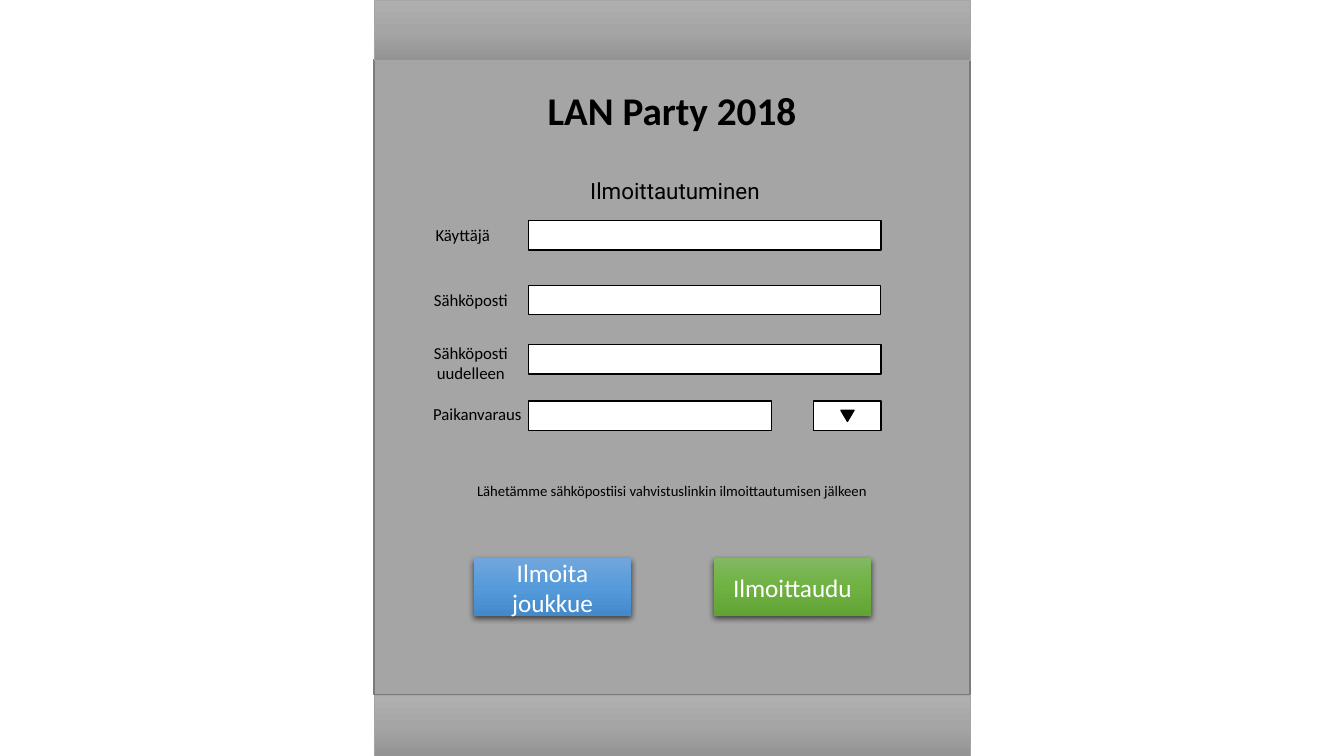
from lxml import etree
from pptx import Presentation
from pptx.dml.color import RGBColor
from pptx.enum.shapes import MSO_SHAPE
from pptx.enum.text import MSO_ANCHOR, MSO_AUTO_SIZE, PP_ALIGN
from pptx.oxml.ns import qn
from pptx.util import Emu, Pt

EMU_PER_PX = 9144  # 100 px to the inch

RECTANGLE = MSO_SHAPE.RECTANGLE
TRIANGLE = MSO_SHAPE.ISOSCELES_TRIANGLE
CENTER = PP_ALIGN.CENTER
TOP, MIDDLE = MSO_ANCHOR.TOP, MSO_ANCHOR.MIDDLE
GROW = MSO_AUTO_SIZE.SHAPE_TO_FIT_TEXT

BLACK = RGBColor(0x00, 0x00, 0x00)
WHITE = RGBColor(0xFF, 0xFF, 0xFF)
GRAY = RGBColor(0xA5, 0xA5, 0xA5)
DARK_GRAY = RGBColor(0x7A, 0x7A, 0x7A)
GRAY_SHADES = (RGBColor(0xAF, 0xAF, 0xAF), GRAY, RGBColor(0x93, 0x93, 0x93))
BLUE_SHADES = (RGBColor(0x71, 0xA6, 0xDB), RGBColor(0x55, 0x9B, 0xDB),
               RGBColor(0x44, 0x8A, 0xCA))
GREEN_SHADES = (RGBColor(0x81, 0xB8, 0x61), RGBColor(0x6F, 0xB2, 0x42),
                RGBColor(0x62, 0xA3, 0x36))

PANEL_LEFT, PANEL_WIDTH = 371, 591
BAR_HEIGHT = 60
FIELD_LEFT, FIELD_HEIGHT = 524, 29
BUTTON_TOP, BUTTON_WIDTH, BUTTON_HEIGHT = 554, 156, 57

# label, label left, top, width, height, field top, field width
FORM_ROWS = (
    ("Käyttäjä", 405, 218, 108, 30, 219, 350),
    ("Sähköposti", 413, 283, 108, 30, 283, 349),
    ("Sähköposti uudelleen", 413, 335, 108, 50, 342, 350),
    ("Paikanvaraus", 418, 396, 111, 30, 398, 241),
)


def px(*lengths):
    return [Emu(length * EMU_PER_PX) for length in lengths]


def add_figure(page, kind, bounds, fill=None, line=None, line_width=1):
    shape = page.shapes.add_shape(kind, *px(*bounds))
    shape.shadow.inherit = False
    if fill is not None:
        shape.fill.solid()
        shape.fill.fore_color.rgb = fill
    if line is None:
        shape.line.fill.background()
    else:
        shape.line.color.rgb = line
        shape.line.width = Pt(line_width)
    return shape


def shade(shape, colors):
    """Fill the shape with evenly spaced colours from top to bottom."""
    shape.fill.gradient()
    shape.fill.gradient_angle = 270
    stops = shape._element.spPr.find(".//" + qn("a:gsLst"))
    for stop in list(stops):
        stops.remove(stop)
    for index, color in enumerate(colors):
        position = 100000 * index // (len(colors) - 1)
        stop = etree.SubElement(stops, qn("a:gs"), pos=str(position))
        etree.SubElement(stop, qn("a:srgbClr"), val=str(color))


def add_drop_shadow(shape):
    effects = shape._element.spPr.find(qn("a:effectLst"))
    shadow = etree.SubElement(
        effects, qn("a:outerShdw"), blurRad=str(Pt(4.5)), dist=str(Pt(1.5)),
        dir="5400000", algn="ctr", rotWithShape="0")
    color = etree.SubElement(shadow, qn("a:srgbClr"), val=str(BLACK))
    etree.SubElement(color, qn("a:alpha"), val="63000")


def write(shape, text, size, color=BLACK, font="Calibri", bold=False, anchor=TOP):
    frame = shape.text_frame
    frame.word_wrap = True
    frame.vertical_anchor = anchor
    para = frame.paragraphs[0]
    para.text = text
    para.alignment = CENTER
    para.font.name = font
    para.font.size = Pt(size)
    para.font.bold = bold
    para.font.color.rgb = color


def add_text(page, bounds, text, size, **style):
    box = page.shapes.add_textbox(*px(*bounds))
    write(box, text, size, **style)
    box.text_frame.auto_size = GROW


def add_bar(page, top):
    bar = add_figure(page, RECTANGLE, (PANEL_LEFT, top, PANEL_WIDTH, BAR_HEIGHT),
                     line=GRAY, line_width=0.5)
    shade(bar, GRAY_SHADES)


def add_field(page, left, top, width):
    add_figure(page, RECTANGLE, (left, top, width, FIELD_HEIGHT), WHITE, BLACK)


def add_button(page, left, text, colors):
    button = add_figure(page, RECTANGLE,
                        (left, BUTTON_TOP, BUTTON_WIDTH, BUTTON_HEIGHT))
    shade(button, colors)
    add_drop_shadow(button)
    write(button, text, 18, color=WHITE, anchor=MIDDLE)


def main():
    deck = Presentation()
    deck.slide_width, deck.slide_height = px(1333, 750)
    page = deck.slides.add_slide(deck.slide_layouts[6])

    add_figure(page, RECTANGLE, (PANEL_LEFT, 59, PANEL_WIDTH, 630), GRAY, DARK_GRAY)
    for top in (0, 750 - BAR_HEIGHT):
        add_bar(page, top)

    add_text(page, (PANEL_LEFT, 81, PANEL_WIDTH, 57), "LAN Party 2018", 28, bold=True)
    add_text(page, (449, 171, 441, 37), "Ilmoittautuminen", 16, font="Roboto")

    for label, left, top, width, height, field_top, field_width in FORM_ROWS:
        add_field(page, FIELD_LEFT, field_top, field_width)
        add_text(page, (left, top, width, height), label, 12)

    add_field(page, 807, 398, 67)
    arrow = add_figure(page, TRIANGLE, (834, 407, 13, 11), BLACK, BLACK)
    arrow.rotation = 180

    add_text(page, (463, 464, 407, 45),
             "Lähetämme sähköpostiisi vahvistuslinkin ilmoittautumisen jälkeen",
             10.5, anchor=MIDDLE)
    add_button(page, 470, "Ilmoita joukkue", BLUE_SHADES)
    add_button(page, 708, "Ilmoittaudu", GREEN_SHADES)

    deck.save("out.pptx")


if __name__ == "__main__":
    main()
